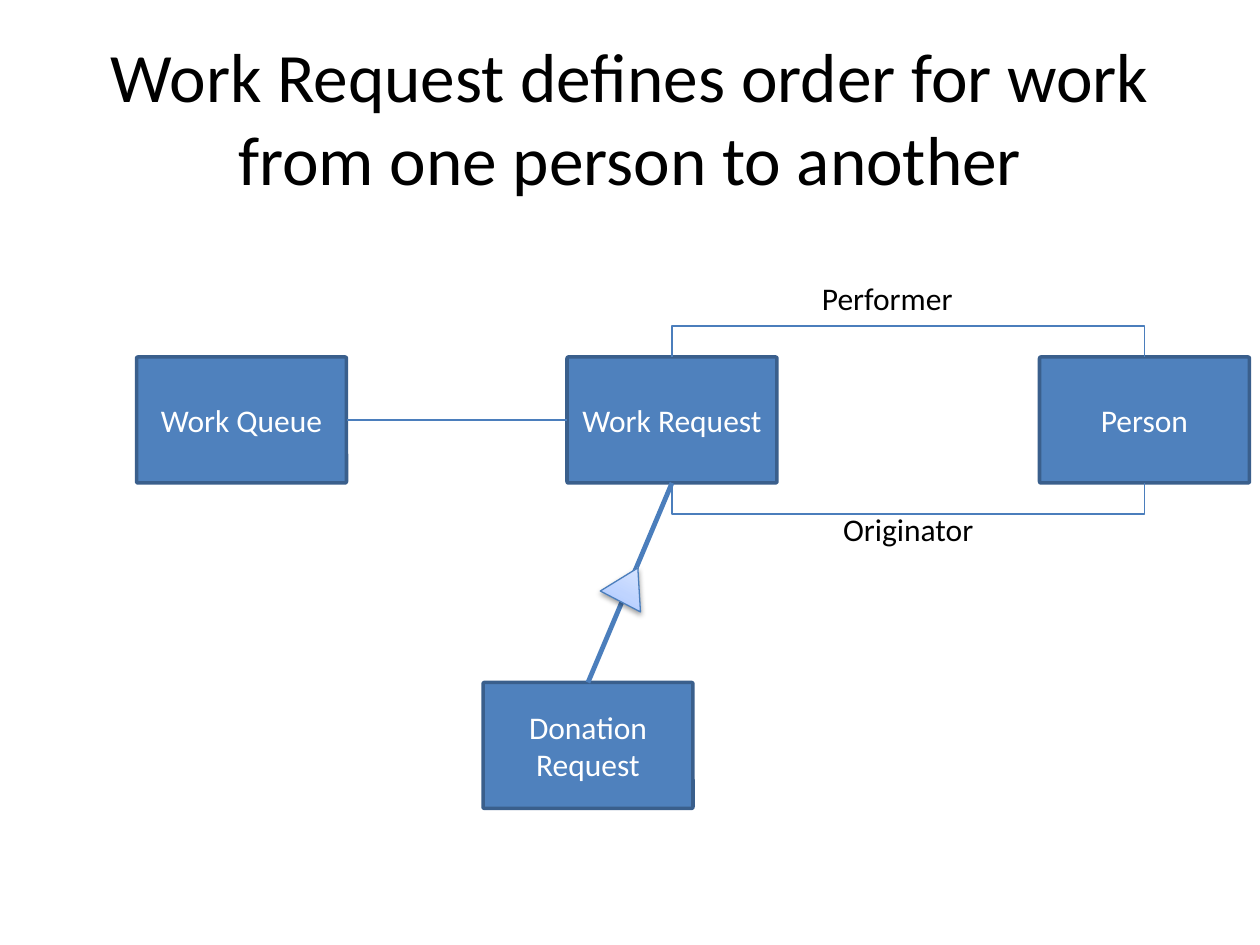
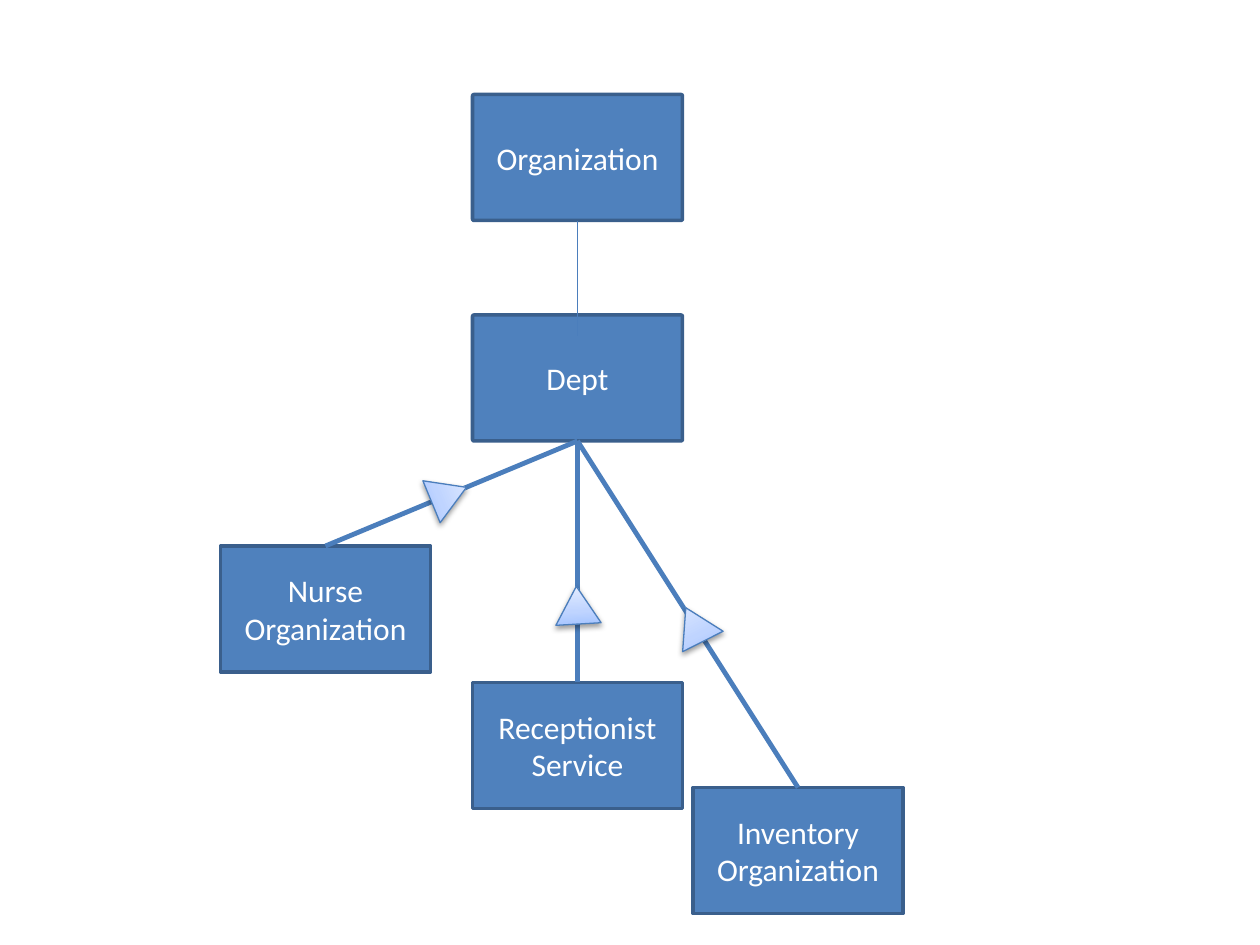
from lxml import etree
from pptx import Presentation, util as u
from pptx.dml.color import RGBColor
from pptx.enum import shapes, text
from pptx.oxml import parse_xml
from pptx.oxml.ns import nsdecls, qn

COLORS = {"box": "4F81BD", "border": "3A5F8C", "line": "4B7EBC",
          "label": "FFFFFF", "ink": "000000"}
MARKER_STOPS = [(0, "A4C4FF"), (35, "BFD4FF"), (100, "E6EEFF")]
FONT = "Calibri"
BOX_COLUMNS, BOX_ROWS = 20, 12
TOP, LEFT, BOTTOM, RIGHT = range(4)      # connection sites of a box
THIN, THICK = 0.75, 2.75


def grid(count):
    """Length of a number of grid cells, twelve to the inch."""
    return u.Emu(round(count * u.Inches(1) / 12))


def color(name):
    return RGBColor.from_string(COLORS[name])


# Text
def write(frame, words, size, ink):
    para = frame.paragraphs[0]
    para.alignment = text.PP_ALIGN.CENTER
    span = para.add_run()
    span.text = words
    span.font.name = FONT
    span.font.size = u.Pt(size)
    span.font.color.rgb = color(ink)


def add_title(page, words):
    title = page.shapes.title
    title.left, title.top = u.Inches(0.5), u.Inches(0.3)
    title.width, title.height = u.Inches(9), u.Inches(1.25)
    frame = title.text_frame
    frame.auto_size = text.MSO_AUTO_SIZE.NONE
    frame.vertical_anchor = text.MSO_ANCHOR.MIDDLE
    write(frame, words, 39.6, "ink")


def add_label(page, words, column, row):
    label = page.shapes.add_textbox(grid(column), grid(row), u.Inches(1.25), u.Inches(0.4))
    label.text_frame.word_wrap = False
    label.text_frame.auto_size = text.MSO_AUTO_SIZE.SHAPE_TO_FIT_TEXT
    write(label.text_frame, words, 18, "ink")


# Class boxes
def add_box(page, words, column, row, rounding=0.012):
    box = page.shapes.add_shape(shapes.MSO_SHAPE.ROUNDED_RECTANGLE, grid(column),
                                grid(row), grid(BOX_COLUMNS), grid(BOX_ROWS))
    box.adjustments[0] = rounding
    box.shadow.inherit = False
    box.fill.solid()
    box.fill.fore_color.rgb = color("box")
    box.line.color.rgb = color("border")
    box.line.width = u.Pt(2)
    box.text_frame.word_wrap = True
    box.text_frame.vertical_anchor = text.MSO_ANCHOR.MIDDLE
    write(box.text_frame, words, 18, "label")
    return box


# Lines between boxes
def style_line(line, weight):
    line.line.color.rgb = color("line")
    line.line.width = u.Pt(weight)
    etree.SubElement(line._element.spPr, qn("a:effectLst"))


def add_link(page, start, start_site, end, end_site, weight=THIN,
             kind=shapes.MSO_CONNECTOR.STRAIGHT):
    line = page.shapes.add_connector(kind, 0, 0, 0, 0)
    line.begin_connect(start, start_site)
    line.end_connect(end, end_site)
    style_line(line, weight)
    return line


def add_bracket(page, start, end, site):
    """Elbow line that leaves and enters two level boxes by the same side."""
    line = add_link(page, start, site, end, site, kind=shapes.MSO_CONNECTOR.ELBOW)
    middle = (line.begin_x + line.end_x) // 2
    level, span = line.begin_y, line.end_x - line.begin_x
    depth, thickness = u.Inches(0.25), u.Inches(0.002)
    line.left, line.top = middle - thickness // 2, level - span // 2
    line.width, line.height = thickness, span
    properties = line._element.spPr
    frame = properties.find(qn("a:xfrm"))
    frame.set("rot", str((90 if site == TOP else 270) * 60000))
    frame.set("flipH", "1")
    frame.set("flipV", "1" if site == TOP else "0")
    guides = properties.find(qn("a:prstGeom")).get_or_add_avLst()
    etree.SubElement(guides, qn("a:gd"), name="adj1",
                     fmla=f"val {round(depth / thickness * 100000)}")


# Inheritance: thick line with a triangle on it
def add_marker(page, center_x, center_y, tilt):
    width, height = u.Inches(0.36), u.Inches(0.3)
    marker = page.shapes.add_shape(
        shapes.MSO_SHAPE.FLOWCHART_EXTRACT, round(center_x - width / 2),
        round(center_y - height / 2), width, height)
    marker.rotation = tilt
    marker.line.color.rgb = color("line")
    marker.line.width = u.Pt(THIN)
    stops = "".join(f'<a:gs pos="{place * 1000}"><a:srgbClr val="{shade}"/></a:gs>'
                    for place, shade in MARKER_STOPS)
    gradient = parse_xml(
        f'<a:gradFill {nsdecls("a")} rotWithShape="1"><a:gsLst>{stops}</a:gsLst>'
        '<a:lin ang="16200000" scaled="0"/></a:gradFill>')
    shadow = parse_xml(
        f'<a:effectLst {nsdecls("a")}><a:outerShdw blurRad="{u.Pt(3.1)}" '
        f'dist="{u.Pt(1.6)}" dir="5400000" rotWithShape="0">'
        f'<a:srgbClr val="{COLORS["ink"]}"><a:alpha val="38000"/></a:srgbClr>'
        '</a:outerShdw></a:effectLst>')
    properties = marker._element.spPr
    properties.find(qn("a:prstGeom")).addnext(gradient)
    properties.append(shadow)


def add_inheritance(page, child, parent, share, tilt):
    line = add_link(page, child, TOP, parent, BOTTOM, THICK)
    add_marker(page, line.begin_x + share * (line.end_x - line.begin_x),
               line.begin_y + share * (line.end_y - line.begin_y), tilt)


# Slides
def build_work_request(deck):
    page = deck.slides.add_slide(deck.slide_layouts[5])
    add_title(page, "Work Request defines order for work from one person to another")
    donation = add_box(page, "Donation Request", 46, 65)
    person = add_box(page, "Person", 99, 34)
    request = add_box(page, "Work Request", 54, 34)
    queue = add_box(page, "Work Queue", 13, 34)
    add_bracket(page, request, person, TOP)
    add_bracket(page, request, person, BOTTOM)
    add_label(page, "Performer", 77, 26)
    add_label(page, "Originator", 79, 48)
    add_inheritance(page, donation, request, 0.49, 27.5)
    add_link(page, queue, RIGHT, request, LEFT)


def build_organization(deck):
    page = deck.slides.add_slide(deck.slide_layouts[6])
    add_box(page, "Organization", 45, 9)
    dept = add_box(page, "Dept", 45, 30)
    children = [("Nurse Organization", 21, 52, 0.49, 67.6),
                ("Receptionist Service", 45, 65, 0.32, 356.7),
                ("Inventory Organization", 66, 75, 0.47, 333.2)]
    for words, column, row, share, tilt in children:
        child = add_box(page, words, column, row, rounding=0)
        add_inheritance(page, child, dept, share, tilt)
    stem = page.shapes.add_connector(shapes.MSO_CONNECTOR.STRAIGHT,
                                     grid(55), grid(21), grid(55), grid(32))
    style_line(stem, THIN)


def main():
    deck = Presentation()
    deck.slide_width, deck.slide_height = u.Inches(10), u.Inches(7.5)
    build_work_request(deck)
    build_organization(deck)
    deck.save("out.pptx")


if __name__ == "__main__":
    main()
